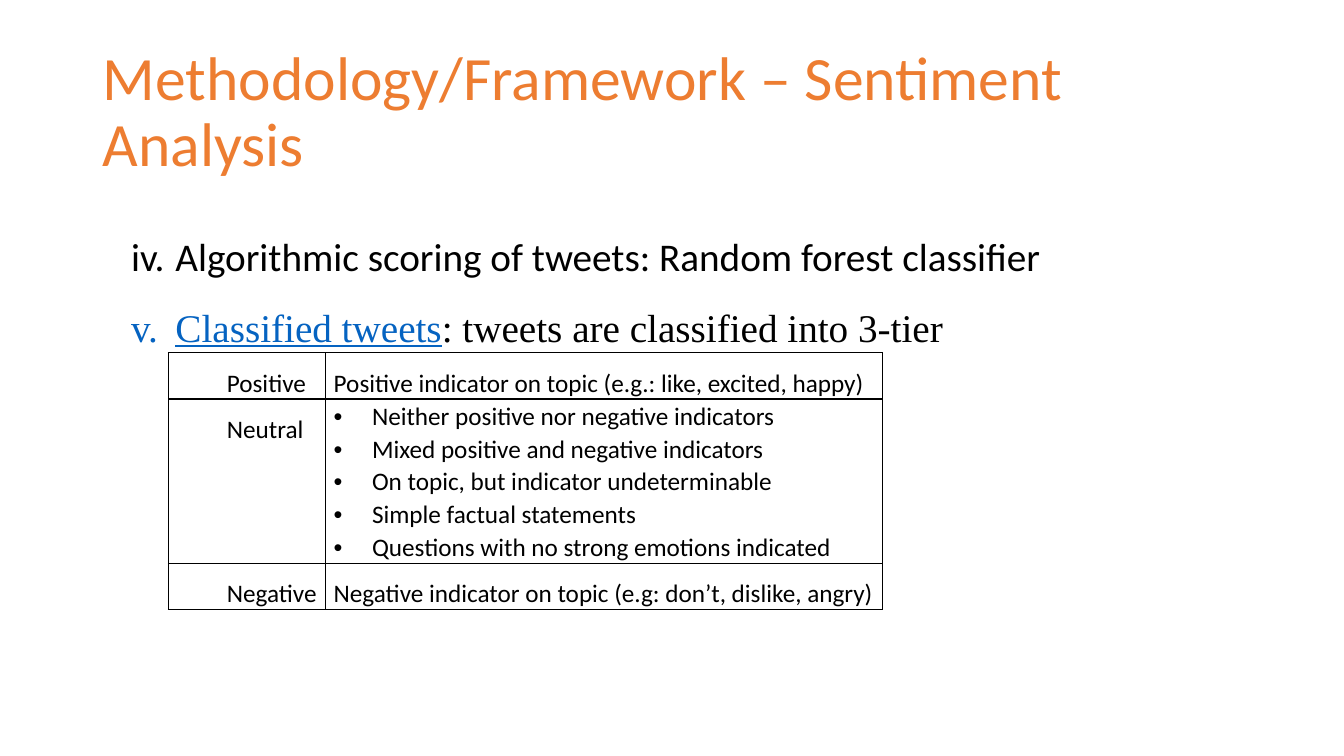
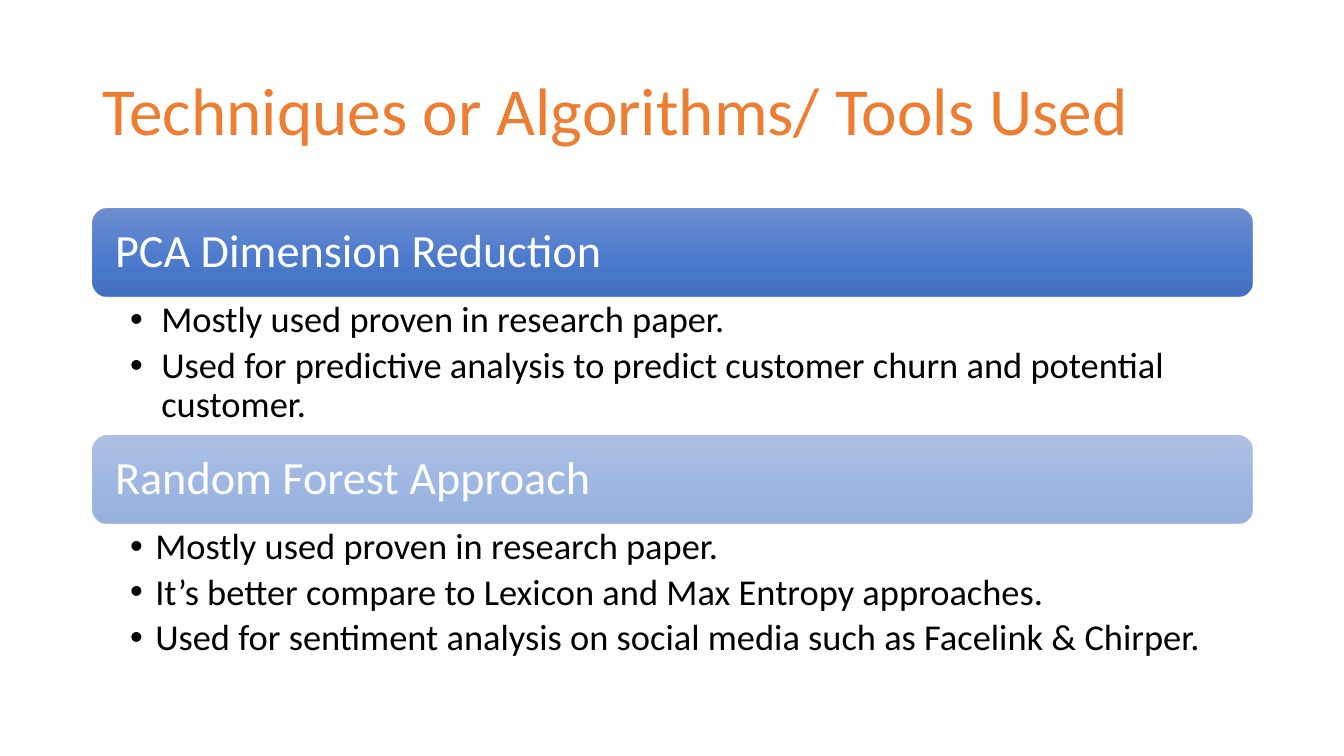
from dataclasses import dataclass

from lxml import etree
from pptx import Presentation
from pptx.dml.color import RGBColor
from pptx.enum.shapes import MSO_SHAPE
from pptx.enum.text import MSO_ANCHOR, MSO_AUTO_SIZE, PP_ALIGN
from pptx.oxml.ns import qn
from pptx.util import Inches, Pt

ROUNDED = MSO_SHAPE.ROUNDED_RECTANGLE
LEFT, MIDDLE, TOP = PP_ALIGN.LEFT, MSO_ANCHOR.MIDDLE, MSO_ANCHOR.TOP
NO_AUTOFIT = MSO_AUTO_SIZE.NONE

ORANGE = RGBColor(0xED, 0x7D, 0x31)
BLACK = RGBColor(0x00, 0x00, 0x00)
WHITE = RGBColor(0xFF, 0xFF, 0xFF)
LINK_BLUE = RGBColor(0x05, 0x63, 0xC1)
BAND_STOPS = (
    (0, RGBColor(0x61, 0x83, 0xCB)),
    (50, RGBColor(0x3E, 0x70, 0xCA)),
    (100, RGBColor(0x30, 0x62, 0xBB)),
)
SANS, SERIF = "Calibri", "Times New Roman"

MARGIN, CONTENT_WIDTH = 0.92, 11.5
BAND_HEIGHT = 0.87
TITLE_AND_CONTENT, TWO_CONTENT = 1, 3


@dataclass(frozen=True)
class Technique:
    name: str
    points: tuple[str, ...]
    top: float
    list_height: float
    hanging: float
    opacity: int


@dataclass(frozen=True)
class Sentiment:
    name: str
    indicators: tuple[str, ...]
    row_height: float


SENTIMENTS = (
    Sentiment("Positive", ("Positive indicator on topic (e.g.: like, excited, happy)",), 0.45),
    Sentiment("Neutral", (
        "Neither positive nor negative indicators",
        "Mixed positive and negative indicators",
        "On topic, but indicator undeterminable",
        "Simple factual statements",
        "Questions with no strong emotions indicated",
    ), 1.61),
    Sentiment("Negative", ("Negative indicator on topic (e.g: don’t, dislike, angry)",), 0.45),
)

TECHNIQUES = (
    Technique("PCA Dimension Reduction", (
        "Mostly used proven in research paper.",
        "Used for predictive analysis to predict customer churn and potential customer.",
    ), 2.07, 1.38, 0.31, 90),
    Technique("Random Forest Approach", (
        "Mostly used proven in research paper.",
        "It’s better compare to Lexicon and Max Entropy approaches.",
        "Used for sentiment analysis on social media such as Facelink & Chirper.",
    ), 4.32, 1.49, 0.25, 50),
)


def add_run(paragraph, text: str, *, size: float, color: RGBColor = BLACK,
            font: str = SANS, underline: bool = False) -> None:
    run = paragraph.add_run()
    run.text = text
    run.font.size, run.font.name = Pt(size), font
    run.font.color.rgb = color
    run.font.underline = underline


def format_paragraph(paragraph, *, spacing: float, after: float = 0,
                     margin: float = 0, hanging: float = 0,
                     bullet: str = "", roman_start: int = 0) -> None:
    """Set spacing, indents and an optional bullet or roman numeral."""
    paragraph.alignment = LEFT
    paragraph.line_spacing = spacing
    paragraph.space_before, paragraph.space_after = Pt(0), Pt(after)
    properties = paragraph._p.get_or_add_pPr()
    properties.set("marL", str(Inches(margin)))
    properties.set("indent", str(-Inches(hanging)))
    if bullet:
        etree.SubElement(properties, qn("a:buFont"), typeface="Arial")
        etree.SubElement(properties, qn("a:buChar"), char=bullet)
    elif roman_start:
        etree.SubElement(properties, qn("a:buFont"), typeface="+mj-lt")
        etree.SubElement(properties, qn("a:buAutoNum"),
                         type="romanLcPeriod", startAt=str(roman_start))


def write_lines(frame, lines: tuple[str, ...], *, size: float,
                color: RGBColor = BLACK, **paragraph_format) -> None:
    for index, line in enumerate(lines):
        paragraph = frame.add_paragraph() if index else frame.paragraphs[0]
        format_paragraph(paragraph, **paragraph_format)
        add_run(paragraph, line, size=size, color=color)


def place(shape, left: float, top: float, width: float, height: float) -> None:
    shape.left, shape.top = Inches(left), Inches(top)
    shape.width, shape.height = Inches(width), Inches(height)


def prepare_frame(frame, anchor, left: float = 0.1, right: float = 0.1) -> None:
    frame.word_wrap, frame.auto_size = True, NO_AUTOFIT
    frame.vertical_anchor = anchor
    frame.margin_left, frame.margin_right = Inches(left), Inches(right)
    frame.margin_top = frame.margin_bottom = Inches(0.05)


def add_titled_slide(prs, layout: int, title: str, size: float):
    slide = prs.slides.add_slide(prs.slide_layouts[layout])
    heading = slide.shapes.title
    place(heading, MARGIN, 0.4, CONTENT_WIDTH, 1.45)
    prepare_frame(heading.text_frame, MIDDLE)
    write_lines(heading.text_frame, (title,), size=size, color=ORANGE, spacing=0.9)
    return slide


def outline_cell(cell) -> None:
    """Draw a thin black border on all four sides and leave the cell unfilled."""
    properties = cell._tc.get_or_add_tcPr()
    for side in ("lnL", "lnR", "lnT", "lnB"):
        line = etree.SubElement(properties, qn(f"a:{side}"), w=str(Pt(1)))
        solid = etree.SubElement(line, qn("a:solidFill"))
        etree.SubElement(solid, qn("a:srgbClr"), val=str(BLACK))
    cell.fill.background()


def add_sentiment_table(slide) -> None:
    column_widths = (1.56, 5.52)
    table = slide.shapes.add_table(
        len(SENTIMENTS), len(column_widths), Inches(1.67), Inches(3.5),
        Inches(sum(column_widths)),
        Inches(sum(sentiment.row_height for sentiment in SENTIMENTS))).table
    table.first_row = table.horz_banding = False
    for column, width in zip(table.columns, column_widths):
        column.width = Inches(width)
    for row, sentiment in enumerate(SENTIMENTS):
        table.rows[row].height = Inches(sentiment.row_height)
        name_cell, indicator_cell = table.cell(row, 0), table.cell(row, 1)
        for cell in (name_cell, indicator_cell):
            cell.margin_left = cell.margin_right = Inches(0.08)
            cell.margin_top = cell.margin_bottom = Inches(0)
            outline_cell(cell)
        write_lines(name_cell.text_frame, (sentiment.name,), size=18,
                    spacing=1.5, margin=0.5)
        if len(sentiment.indicators) > 1:
            indicator_format = dict(spacing=1.07, margin=0.38, hanging=0.38, bullet="•")
        else:
            indicator_format = dict(spacing=1.5)
        write_lines(indicator_cell.text_frame, sentiment.indicators, size=18,
                    **indicator_format)


def fill_band(band, opacity: int) -> None:
    """Apply the vertical three-stop gradient at the given opacity percentage."""
    band.fill.gradient()
    band.fill.gradient_angle = 270
    stops = band._element.spPr.find(qn("a:gradFill")).find(qn("a:gsLst"))
    for stop in list(stops):
        stops.remove(stop)
    for position, color in BAND_STOPS:
        stop = etree.SubElement(stops, qn("a:gs"), pos=str(position * 1000))
        value = etree.SubElement(stop, qn("a:srgbClr"), val=str(color))
        etree.SubElement(value, qn("a:alpha"), val=str(opacity * 1000))


def add_technique(slide, technique: Technique, points) -> None:
    band = slide.shapes.add_shape(
        ROUNDED, Inches(MARGIN), Inches(technique.top),
        Inches(CONTENT_WIDTH), Inches(BAND_HEIGHT))
    band.shadow.inherit = False
    band.line.fill.background()
    fill_band(band, technique.opacity)
    prepare_frame(band.text_frame, MIDDLE, left=0.18, right=0.18)
    write_lines(band.text_frame, (technique.name,), size=33, color=WHITE, spacing=0.9)

    place(points, MARGIN, technique.top + BAND_HEIGHT, CONTENT_WIDTH, technique.list_height)
    prepare_frame(points.text_frame, TOP, left=0.37, right=0.26)
    write_lines(points.text_frame, technique.points, size=26, spacing=0.9, after=4.5,
                margin=technique.hanging, hanging=technique.hanging, bullet="•")


def build_sentiment_slide(prs) -> None:
    slide = add_titled_slide(prs, TITLE_AND_CONTENT,
                             "Methodology/Framework – Sentiment Analysis", 44)
    steps = slide.placeholders[1]
    place(steps, 1.2, 2.02, 11, 4.4)
    prepare_frame(steps.text_frame, TOP)
    step_format = dict(spacing=1.5, margin=0.44, hanging=0.44, roman_start=4)
    write_lines(steps.text_frame,
                ("Algorithmic scoring of tweets: Random forest classifier",),
                size=28, **step_format)
    classified = steps.text_frame.add_paragraph()
    format_paragraph(classified, **step_format)
    add_run(classified, "Classified tweets", size=28, color=LINK_BLUE,
            font=SERIF, underline=True)
    add_run(classified, ": tweets are classified into 3-tier", size=28, font=SERIF)
    add_sentiment_table(slide)


def build_techniques_slide(prs) -> None:
    slide = add_titled_slide(prs, TWO_CONTENT, "Techniques or Algorithms/ Tools Used", 48)
    for index, technique in enumerate(TECHNIQUES, start=1):
        add_technique(slide, technique, slide.placeholders[index])


def main() -> None:
    prs = Presentation()
    prs.slide_width, prs.slide_height = Inches(13.33), Inches(7.5)
    build_sentiment_slide(prs)
    build_techniques_slide(prs)
    prs.save("out.pptx")


if __name__ == "__main__":
    main()
